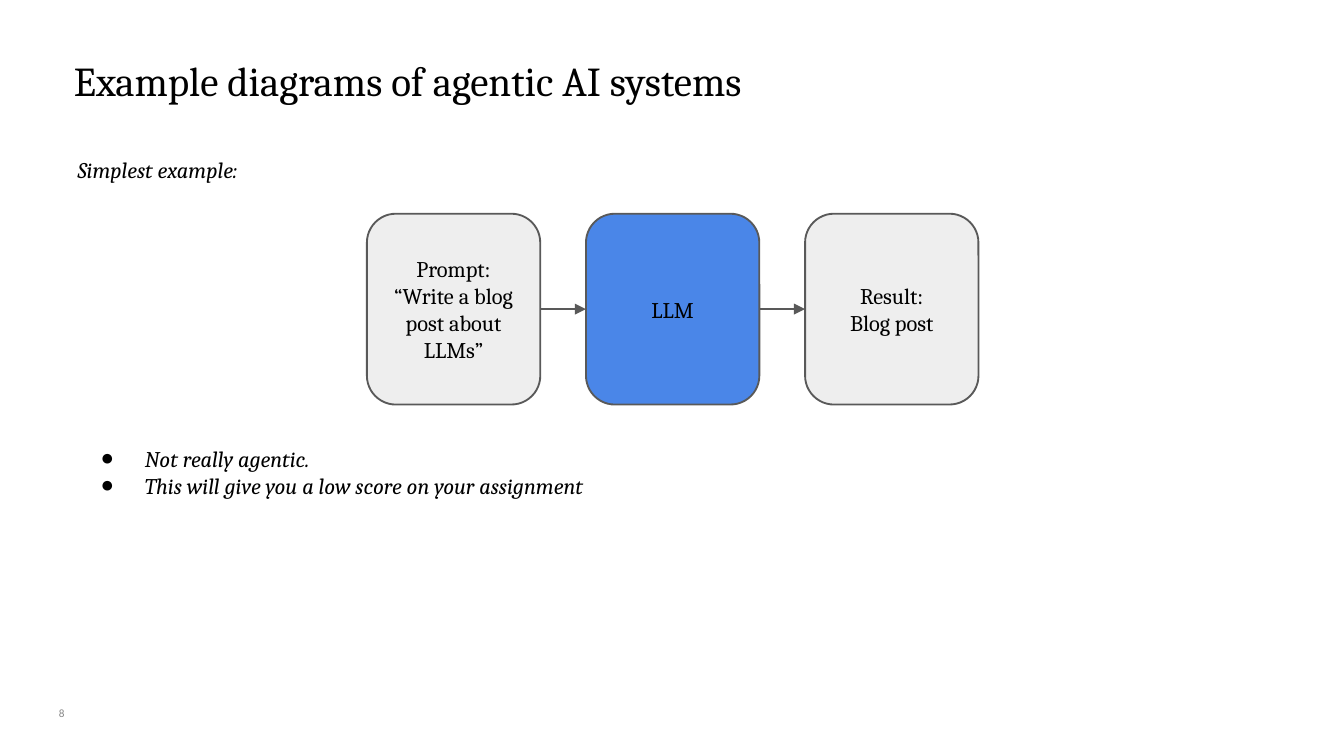
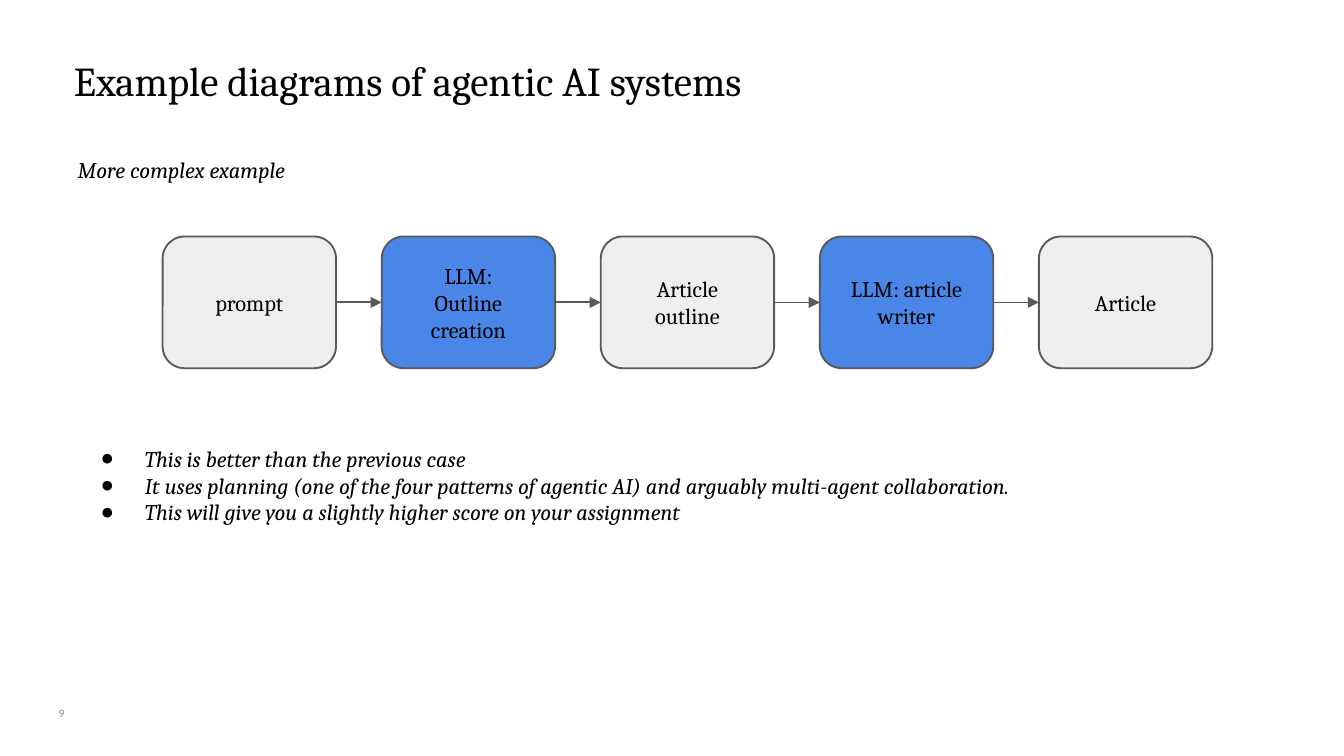
from lxml import etree
from pptx import Presentation
from pptx.dml.color import RGBColor
from pptx.enum import shapes, text
from pptx.oxml import ns
from pptx.util import Inches, Pt

BLACK = RGBColor(0x00, 0x00, 0x00)
GRAY = RGBColor(0x88, 0x88, 0x88)
EDGE = RGBColor(0x59, 0x59, 0x59)
PALE = RGBColor(0xEE, 0xEE, 0xEE)
BLUE = RGBColor(0x4A, 0x86, 0xE8)

SERIF, SANS, DOT = "Cambria", "Calibri", "Arial"
TITLE = "Example diagrams of agentic AI systems"
LEFT, WIDE = 0.48, 9.26
NODE_W, STEP = 1.29, 1.63


def style(par, size=12, name=SERIF, color=BLACK, italic=False, align=text.PP_ALIGN.LEFT):
    par.alignment = align
    par.font.size = Pt(size)
    par.font.name = name
    par.font.color.rgb = color
    par.font.italic = italic


def set_frame(shape, words, inset, anchor):
    frame = shape.text_frame
    frame.text = words
    frame.word_wrap = True
    frame.vertical_anchor = anchor
    frame.margin_left = frame.margin_right = Inches(inset)
    frame.margin_top = frame.margin_bottom = Inches(inset)
    return frame


def add_title(slide):
    title = slide.shapes.title
    title.left, title.top = Inches(0.55), Inches(0.18)
    title.width, title.height = Inches(8.9), Inches(0.6)
    frame = set_frame(title, TITLE, 0, text.MSO_ANCHOR.BOTTOM)
    frame.auto_size = text.MSO_AUTO_SIZE.NONE
    par = frame.paragraphs[0]
    par.line_spacing = 0.8
    style(par, 22)


def add_number(slide, number):
    box = slide.shapes.add_textbox(Inches(0.08), Inches(5.23), Inches(0.4), Inches(0.15))
    frame = set_frame(box, str(number), 0, text.MSO_ANCHOR.MIDDLE)
    style(frame.paragraphs[0], 6, SANS, GRAY, align=text.PP_ALIGN.RIGHT)


def add_bullet(par):
    props = par._p.get_or_add_pPr()
    props.set("marL", str(Inches(0.5)))
    props.set("indent", str(Inches(-0.33)))
    color = etree.SubElement(props, ns.qn("a:buClr"))
    etree.SubElement(color, ns.qn("a:srgbClr"), val=str(BLACK))
    etree.SubElement(props, ns.qn("a:buFont"), typeface=DOT)
    etree.SubElement(props, ns.qn("a:buChar"), char="●")


def add_note(slide, top, height, lines, bullets=False):
    """Italic text across the slide, with or without bullets."""
    box = slide.shapes.add_textbox(Inches(LEFT), Inches(top), Inches(WIDE), Inches(height))
    frame = set_frame(box, "\n".join(lines), 0.1, text.MSO_ANCHOR.TOP)
    frame.auto_size = text.MSO_AUTO_SIZE.SHAPE_TO_FIT_TEXT
    for par in frame.paragraphs:
        if bullets:
            add_bullet(par)
        style(par, italic=True)


def add_node(slide, left, top, height, label, fill):
    node = slide.shapes.add_shape(
        shapes.MSO_SHAPE.ROUNDED_RECTANGLE,
        Inches(left), Inches(top), Inches(NODE_W), Inches(height))
    node.shadow.inherit = False
    node.fill.solid()
    node.fill.fore_color.rgb = fill
    node.line.color.rgb = EDGE
    node.line.width = Pt(1)
    frame = set_frame(node, label, 0.13, text.MSO_ANCHOR.MIDDLE)
    for par in frame.paragraphs:
        style(par, align=text.PP_ALIGN.CENTER)
    return node


def add_arrow(slide, start, end, width):
    """Arrow from the right side of one node to the left side of the next."""
    arrow = slide.shapes.add_connector(shapes.MSO_CONNECTOR.STRAIGHT, 0, 0, 0, 0)
    arrow.begin_connect(start, 3)
    arrow.end_connect(end, 1)
    arrow.line.color.rgb = EDGE
    arrow.line.width = Pt(width)
    etree.SubElement(arrow.line._get_or_add_ln(), ns.qn("a:tailEnd"), type="triangle")
    etree.SubElement(arrow._element.spPr, ns.qn("a:effectLst"))


def add_flow(slide, left, top, height, labels):
    """Row of linked nodes, every second one an LLM step."""
    nodes = [
        add_node(slide, left + i * STEP, top, height, label, BLUE if i % 2 else PALE)
        for i, label in enumerate(labels)]
    for i, (start, end) in enumerate(zip(nodes, nodes[1:])):
        add_arrow(slide, start, end, 1 if i < 2 else 0.75)


def add_example(deck, number, intro, flow, points):
    slide = deck.slides.add_slide(deck.slide_layouts[5])
    add_number(slide, number)
    add_title(slide)
    add_note(slide, 1.06, 0.61, [intro])
    add_flow(slide, *flow)
    add_note(slide, 3.21, 0.41 + 0.2 * len(points), points, bullets=True)


def main():
    deck = Presentation()
    deck.slide_width = Inches(10)
    deck.slide_height = deck.slide_width * 9 // 16
    add_example(
        deck, 8, "Simplest example:",
        (2.73, 1.59, 1.42,
         ["Prompt:\v“Write a blog post about LLMs”", "LLM", "Result:\nBlog post"]),
        ["Not really agentic.",
         "This will give you a low score on your assignment"])
    add_example(
        deck, 9, "More complex example",
        (1.21, 1.76, 0.98,
         ["prompt", "LLM:\nOutline creation", "Article outline",
          "LLM: article writer", "Article"]),
        ["This is better than the previous case",
         "It uses planning (one of the four patterns of agentic AI) "
         "and arguably multi-agent collaboration.",
         "This will give you a slightly higher score on your assignment"])
    deck.save("out.pptx")


if __name__ == "__main__":
    main()
